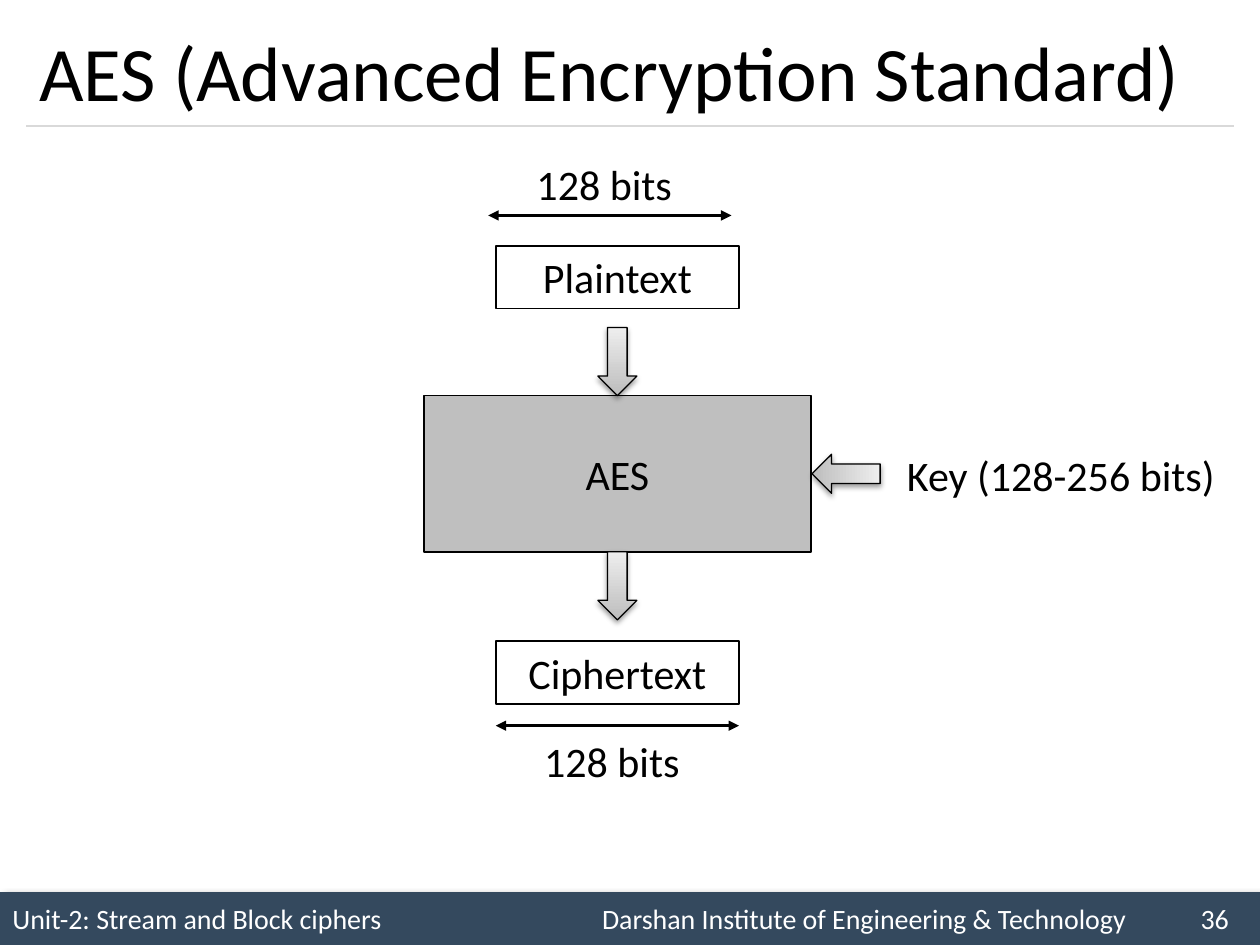
import pptx
import pptx.util
import pptx.dml.color
import pptx.enum.shapes
import pptx.enum.text
import pptx.oxml
from lxml import etree

Inches, Pt = pptx.util.Inches, pptx.util.Pt
SHAPE = pptx.enum.shapes.MSO_SHAPE
ALIGN = pptx.enum.text.PP_ALIGN
ANCHOR = pptx.enum.text.MSO_ANCHOR
NAMESPACE = "http://schemas.openxmlformats.org/drawingml/2006/main"

COLORS = {"text": "000000", "white": "FFFFFF", "footer": "34495E", "rule": "D9D9D9",
          "cipher": "BFBFBF", "arrow dark": "BDBDBD", "arrow light": "EEEEEE"}
FONT = "Calibri"
WIDTH, HEIGHT = 10, 7.5
MARGIN = 0.21
TITLE = "AES (Advanced Encryption Standard)"
TITLE_TOP, TITLE_BOTTOM = 0.12, 1
FOOTER = ["Unit-2: Stream and Block ciphers",
          "Darshan Institute of Engineering & Technology", "36"]
FOOTER_HEIGHT = 0.42
FOOTER_TABS = [4.68, 9.43]

CENTER = 4.9  # axis of the diagram
DATA_WIDTH, LABEL_HEIGHT = 1.93, 0.5
CIPHER_TOP, CIPHER_WIDTH, CIPHER_HEIGHT = 3.14, 3.07, 1.24
CIPHER_MIDDLE = CIPHER_TOP + CIPHER_HEIGHT / 2
CIPHER_RIGHT = CENTER + CIPHER_WIDTH / 2
ARROW_WIDTH, ARROW_LENGTH = 0.31, 0.54

# text, top, width, height, fill
BOXES = [("AES", CIPHER_TOP, CIPHER_WIDTH, CIPHER_HEIGHT, "cipher"),
         ("Plaintext", 1.95, DATA_WIDTH, LABEL_HEIGHT, "white"),
         ("Ciphertext", 5.09, DATA_WIDTH, LABEL_HEIGHT, "white")]
# text, centre of the measure, height of its line, top of its label
MEASURES = [("128 bits", CENTER - 0.06, 1.71, 1.21),
            ("128 bits", CENTER, 5.76, 5.79)]
MEASURE_LABEL_WIDTH = 1.36
# centre across, centre down, rotation
ARROWS = [(CENTER, CIPHER_TOP - ARROW_LENGTH / 2, 0),
          (CENTER, CIPHER_TOP + CIPHER_HEIGHT + ARROW_LENGTH / 2, 0),
          (CIPHER_RIGHT + ARROW_LENGTH / 2 + 0.01, CIPHER_MIDDLE, 90)]
KEY = ("Key (128-256 bits)", 7.1, 2.67)


def color(name):
    return pptx.dml.color.RGBColor.from_string(COLORS[name])


def add_element(parent, tag, **attributes):
    return etree.SubElement(parent, f"{{{NAMESPACE}}}{tag}", attributes)


def format_text(paragraph, size, color_name="text", align=ALIGN.LEFT):
    paragraph.alignment = align
    paragraph.font.size = Pt(size)
    paragraph.font.name = FONT
    paragraph.font.color.rgb = color(color_name)


def add_shape(slide, kind, left, top, width, height, fill=None, line_width=None):
    shape = slide.shapes.add_shape(kind, *map(Inches, (left, top, width, height)))
    shape.shadow.inherit = False
    if fill:
        shape.fill.solid()
        shape.fill.fore_color.rgb = color(fill)
    if line_width:
        shape.line.color.rgb = color("text")
        shape.line.width = Pt(line_width)
    else:
        shape.line.fill.background()
    return shape


def add_shadow(shape, opacity, blur, distance, angle):
    effects = shape._element.spPr.find(f"{{{NAMESPACE}}}effectLst")
    shadow = add_element(effects, "outerShdw", blurRad=str(Pt(blur)), dist=str(Pt(distance)),
                         dir=str(angle * 60000), algn="tl", rotWithShape="0")
    shade = add_element(shadow, "srgbClr", val=COLORS["text"])
    add_element(shade, "alpha", val=str(opacity * 1000))


def add_line(slide, left, right, y, color_name, width, arrowheads=False):
    line = slide.shapes.add_connector(pptx.enum.shapes.MSO_CONNECTOR.STRAIGHT,
                                      *map(Inches, (left, y, right, y)))
    line.line.color.rgb = color(color_name)
    line.line.width = Pt(width)
    if arrowheads:
        outline = line.line._get_or_add_ln()
        for end in ("headEnd", "tailEnd"):
            add_element(outline, end, type="triangle")
    add_element(line._element.spPr, "effectLst")


def add_label(slide, text, left, top, width):
    box = slide.shapes.add_textbox(*map(Inches, (left, top, width, LABEL_HEIGHT)))
    box.text_frame.word_wrap = False
    box.text_frame.auto_size = pptx.enum.text.MSO_AUTO_SIZE.SHAPE_TO_FIT_TEXT
    box.text_frame.text = text
    format_text(box.text_frame.paragraphs[0], 24)


def add_footer(slide):
    bar = add_shape(slide, SHAPE.RECTANGLE, 0, HEIGHT - FOOTER_HEIGHT,
                    WIDTH, FOOTER_HEIGHT, "footer")
    add_shadow(bar, 40, 4, 3, 45)
    bar.text_frame.text = "\t".join(FOOTER)
    bar.text_frame.vertical_anchor = ANCHOR.MIDDLE
    paragraph = bar.text_frame.paragraphs[0]
    tabs = add_element(paragraph._p.get_or_add_pPr(), "tabLst")
    for position in FOOTER_TABS:
        add_element(tabs, "tab", pos=str(Inches(position)), algn="l")
    format_text(paragraph, 16, "white")


def add_title(slide):
    title = slide.shapes.title
    title.left, title.top = Inches(MARGIN), Inches(TITLE_TOP)
    title.width = Inches(WIDTH - 2 * MARGIN)
    title.height = Inches(TITLE_BOTTOM - TITLE_TOP)
    title.text_frame.text = TITLE
    title.text_frame.vertical_anchor = ANCHOR.MIDDLE
    format_text(title.text_frame.paragraphs[0], 44)


def add_block_arrow(slide, x, y, rotation):
    arrow = add_shape(slide, SHAPE.DOWN_ARROW, x - ARROW_WIDTH / 2, y - ARROW_LENGTH / 2,
                      ARROW_WIDTH, ARROW_LENGTH, line_width=0.75)
    arrow.rotation = rotation
    arrow.fill.gradient()
    arrow.fill.gradient_angle = 90
    for stop, name in zip(arrow.fill.gradient_stops, ("arrow dark", "arrow light")):
        stop.color.rgb = color(name)
    add_shadow(arrow, 38, 3.1, 1.6, 90)


def main():
    presentation = pptx.Presentation()
    presentation.slide_width, presentation.slide_height = Inches(WIDTH), Inches(HEIGHT)
    slide = presentation.slides.add_slide(presentation.slide_layouts[5])

    add_footer(slide)
    add_line(slide, MARGIN, WIDTH - MARGIN, TITLE_BOTTOM, "rule", 0.75)
    add_title(slide)

    for text, top, width, height, fill in BOXES:
        box = add_shape(slide, SHAPE.RECTANGLE, CENTER - width / 2, top, width, height, fill, 1)
        box.text_frame.text = text
        box.text_frame.vertical_anchor = ANCHOR.MIDDLE
        format_text(box.text_frame.paragraphs[0], 24, align=ALIGN.CENTER)

    for text, middle, y, label_top in MEASURES:
        add_line(slide, middle - DATA_WIDTH / 2, middle + DATA_WIDTH / 2, y, "text", 1.5, True)
        add_label(slide, text, middle - MEASURE_LABEL_WIDTH / 2, label_top, MEASURE_LABEL_WIDTH)

    for x, y, rotation in ARROWS:
        add_block_arrow(slide, x, y, rotation)

    text, left, width = KEY
    add_label(slide, text, left, CIPHER_MIDDLE - LABEL_HEIGHT / 2 + 0.01, width)
    presentation.save("out.pptx")


if __name__ == "__main__":
    main()
